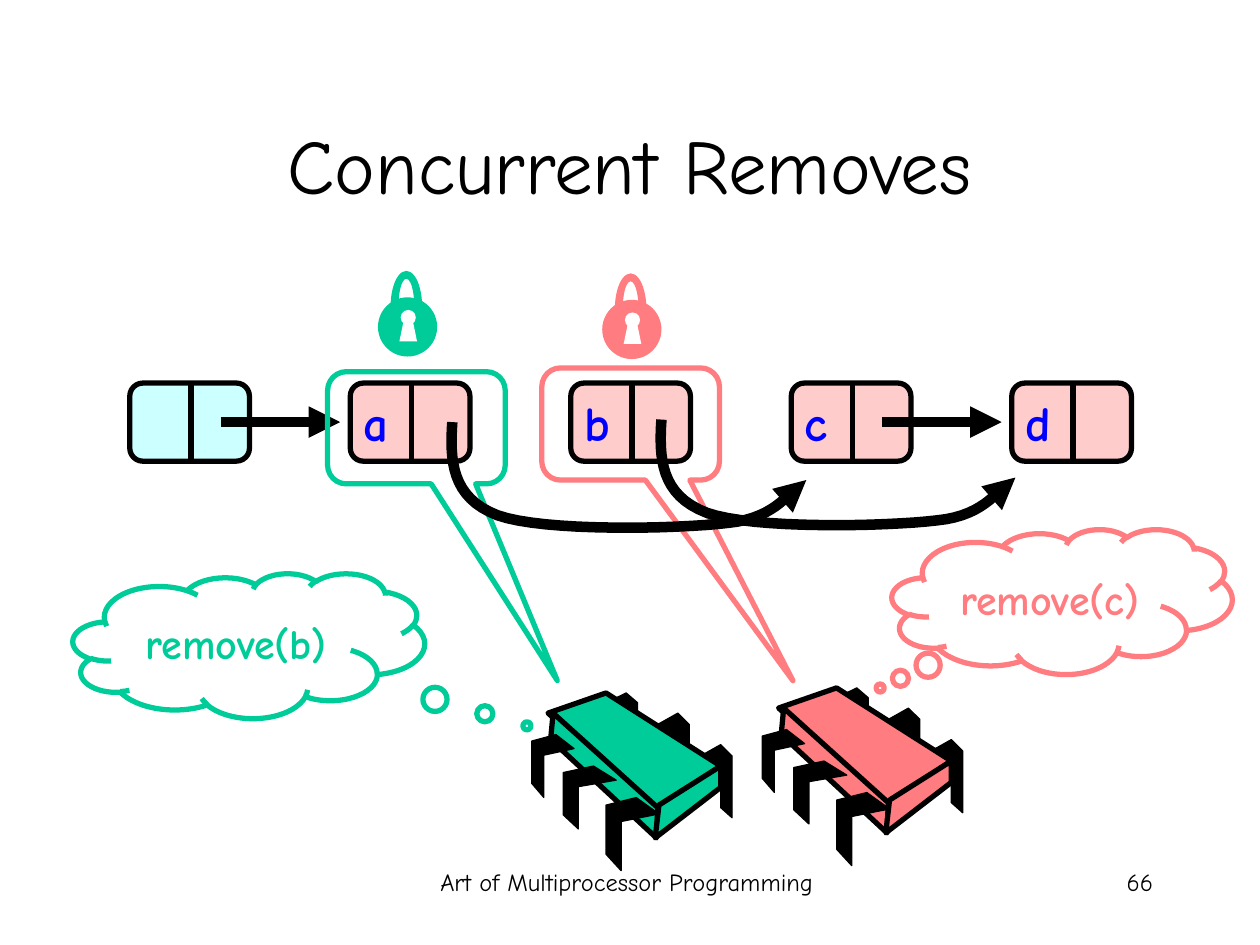
import lxml.etree
import pptx
import pptx.dml.color
import pptx.enum.shapes
import pptx.enum.text
import pptx.oxml.ns
import pptx.util

Inches = pptx.util.Inches
Color = pptx.dml.color.RGBColor
Shape = pptx.enum.shapes.MSO_SHAPE
Align = pptx.enum.text.PP_ALIGN
Anchor = pptx.enum.text.MSO_ANCHOR

BLACK = Color(0x00, 0x00, 0x00)
WHITE = Color(0xFF, 0xFF, 0xFF)
BLUE = Color(0x00, 0x00, 0xFF)
CYAN = Color(0xCC, 0xFF, 0xFF)
PINK = Color(0xFF, 0xCC, 0xCC)
GREEN = Color(0x00, 0xCC, 0x99)
RED = Color(0xFF, 0x7C, 0x80)
FONT = "Comic Neue"

REAR_LEG = [(0, 0.09), (0.16, 0), (0.25, 0.09), (0.25, 0.58), (0.16, 0.5), (0.16, 0.17), (0, 0.25)]
FRONT_LEG = [(0.24, 0), (0.42, 0.13), (0.12, 0.19), (0.12, 0.58), (0, 0.45), (0, 0.06)]
CHIP_FACES = [
    [(0.59, 0), (1.5, 0.58), (0.99, 0.93), (0.13, 0.16)],
    [(0.17, 0.16), (1, 0.91), (0.99, 1.15), (0.15, 0.37)],
    [(1.5, 0.58), (1.5, 0.75), (0.98, 1.15), (1.01, 0.89)],
]
BYPASS_START = (0.02, 0)
BYPASS_CURVES = [
    [(0, 0.3), (0.01, 0.6), (0.38, 0.74)],
    [(0.74, 0.87), (1.8, 0.85), (2.21, 0.8)],
    [(2.61, 0.76), (2.7, 0.53), (2.83, 0.46)],
]


def write(shape, text, size=24, color=BLACK, bold=False, align=Align.LEFT,
          anchor=Anchor.TOP, wrap=True):
    frame = shape.text_frame
    frame.word_wrap = wrap
    frame.vertical_anchor = anchor
    paragraph = frame.paragraphs[0]
    paragraph.text = text
    paragraph.alignment = align
    font = paragraph.font
    font.name, font.size, font.bold = FONT, pptx.util.Pt(size), bold
    font.color.rgb = color


def paint(shape, fill=None, line=None, width=3):
    shape.shadow.inherit = False
    if fill is None:
        shape.fill.background()
    else:
        shape.fill.solid()
        shape.fill.fore_color.rgb = fill
    if line is None:
        shape.line.fill.background()
    else:
        shape.line.color.rgb = line
        shape.line.width = pptx.util.Pt(width)


def add_preset(shapes, kind, box, adjustments=(), **colors):
    shape = shapes.add_shape(kind, *map(Inches, box))
    for index, value in enumerate(adjustments):
        shape.adjustments[index] = value
    paint(shape, **colors)
    return shape


def add_text(shapes, box, text, **style):
    shape = shapes.add_textbox(*map(Inches, box))
    write(shape, text, **style)
    return shape


def add_outline(shapes, left, top, points, scale=(1, 1), close=True, **colors):
    placed = [(Inches(left + x * scale[0]), Inches(top + y * scale[1])) for x, y in points]
    builder = shapes.build_freeform(*placed[0])
    builder.add_line_segments(placed[1:], close=close)
    shape = builder.convert_to_shape()
    paint(shape, **colors)
    return shape


def add_arrowhead(shape):
    tag = pptx.oxml.ns.qn("a:tailEnd")
    lxml.etree.SubElement(shape.get_or_add_ln(), tag, type="triangle")


def add_line(shapes, start, end, width):
    kind = pptx.enum.shapes.MSO_CONNECTOR.STRAIGHT
    connector = shapes.add_connector(kind, *map(Inches, start + end))
    connector.line.color.rgb = BLACK
    connector.line.width = pptx.util.Pt(width)
    lxml.etree.SubElement(connector.element.spPr, pptx.oxml.ns.qn("a:effectLst"))
    return connector


def add_node(slide, left, top, letter, fill):
    shapes = slide.shapes.add_group_shape().shapes
    add_preset(shapes, Shape.ROUNDED_RECTANGLE, (left, top, 0.95, 0.62), [0.167],
               fill=fill, line=BLACK)
    middle = left + 0.485
    add_line(shapes, (middle, top - 0.01), (middle, top + 0.63), 3)
    if letter:
        label = add_text(shapes, (left + 0.01, top + 0.03, 0.42, 0.57), letter,
                         size=28, color=BLUE, bold=True, wrap=False)
        label.text_frame.auto_size = pptx.enum.text.MSO_AUTO_SIZE.SHAPE_TO_FIT_TEXT


def add_list(slide, left, top):
    lefts = [left + 1.75 * index for index in range(5)]
    for node_left, letter in zip(lefts, ["", "a", "b", "c", "d"]):
        add_node(slide, node_left, top, letter, PINK if letter else CYAN)
    for index in (0, 3):
        start, level = lefts[index] + 0.72, top + 0.31
        add_arrowhead(add_line(slide.shapes, (start, level), (start + 0.95, level), 6))


def add_chip(slide, left, top, color):
    shapes = slide.shapes.add_group_shape().shapes
    leg = dict(fill=BLACK, line=BLACK, width=0.75)
    for x, y, height in [(1.34, 0.41, 1), (1, 0.16, 1), (0.59, 0, 0.86)]:
        add_outline(shapes, left + x, top + y, REAR_LEG, (1, height), **leg)
    for face in CHIP_FACES:
        add_outline(shapes, left, top, face, fill=color, line=BLACK)
    for x, y, scale in [(0.59, 0.83, (1, 1)), (0.25, 0.58, (1, 0.86)), (0, 0.33, (0.8, 0.86))]:
        add_outline(shapes, left + x, top + y, FRONT_LEG, scale, **leg)


def add_lock(slide, left, top, color):
    shapes = slide.shapes.add_group_shape().shapes
    add_preset(shapes, Shape.OVAL, (left, top + 0.21, 0.47, 0.47), fill=color)
    add_preset(shapes, Shape.OVAL, (left + 0.18, top + 0.31, 0.12, 0.12), fill=WHITE)
    add_preset(shapes, Shape.TRAPEZOID, (left + 0.17, top + 0.39, 0.14, 0.17), [0.25], fill=WHITE)
    add_preset(shapes, Shape.BLOCK_ARC, (left + 0.1, top, 0.25, 0.56), fill=color)


def add_callout(slide, left, top, pointer, color):
    add_preset(slide.shapes, Shape.ROUNDED_RECTANGULAR_CALLOUT, (left, top, 1.41, 0.89),
               [*pointer, 0.167], line=color)


def add_thought(slide, box, text, pointer, color):
    cloud = add_preset(slide.shapes, Shape.CLOUD_CALLOUT, box, pointer, line=color)
    write(cloud, text, color=color, bold=True, align=Align.CENTER, anchor=Anchor.MIDDLE)


def curve_points(start, curves, steps=16):
    points = [start]
    for controls in curves:
        corners = [points[-1], *controls]
        for step in range(1, steps + 1):
            t = step / steps
            weights = [(1 - t) ** 3, 3 * t * (1 - t) ** 2, 3 * t ** 2 * (1 - t), t ** 3]
            points.append(tuple(sum(weight * corner[axis] for weight, corner in zip(weights, corners))
                                for axis in (0, 1)))
    return points


def add_bypass(slide, left, top):
    points = curve_points(BYPASS_START, BYPASS_CURVES)
    add_arrowhead(add_outline(slide.shapes, left, top, points, close=False, line=BLACK, width=6))


def main():
    presentation = pptx.Presentation()
    presentation.slide_width, presentation.slide_height = Inches(10), Inches(7.5)
    slide = presentation.slides.add_slide(presentation.slide_layouts[6])
    add_text(slide.shapes, (3.1, 6.83, 3.75, 0.5), "Art of Multiprocessor Programming",
             size=14, align=Align.CENTER)
    add_text(slide.shapes, (7.17, 6.83, 2.08, 0.5), "66", size=14, align=Align.RIGHT)
    add_text(slide.shapes, (0.75, 0.67, 8.5, 1.25), "Concurrent Removes",
             size=44, align=Align.CENTER, anchor=Anchor.MIDDLE)
    add_list(slide, 1.03, 3.04)
    add_chip(slide, 4.22, 5.5, GREEN)
    add_chip(slide, 6.05, 5.46, RED)
    add_callout(slide, 4.3, 2.92, (0.914, 2.289), RED)
    add_thought(slide, (0.58, 4.55, 2.79, 1.15), "remove(b)", (0.791, 0.553), GREEN)
    add_thought(slide, (7.08, 4.2, 2.7, 1.15), "remove(c)", (-0.535, 0.596), RED)
    add_lock(slide, 3, 2.15, GREEN)
    add_callout(slide, 2.6, 2.95, (0.793, 2.254), GREEN)
    add_lock(slide, 4.78, 2.17, RED)
    add_bypass(slide, 5.23, 3.33)
    add_bypass(slide, 3.57, 3.35)
    presentation.save("out.pptx")


if __name__ == "__main__":
    main()
